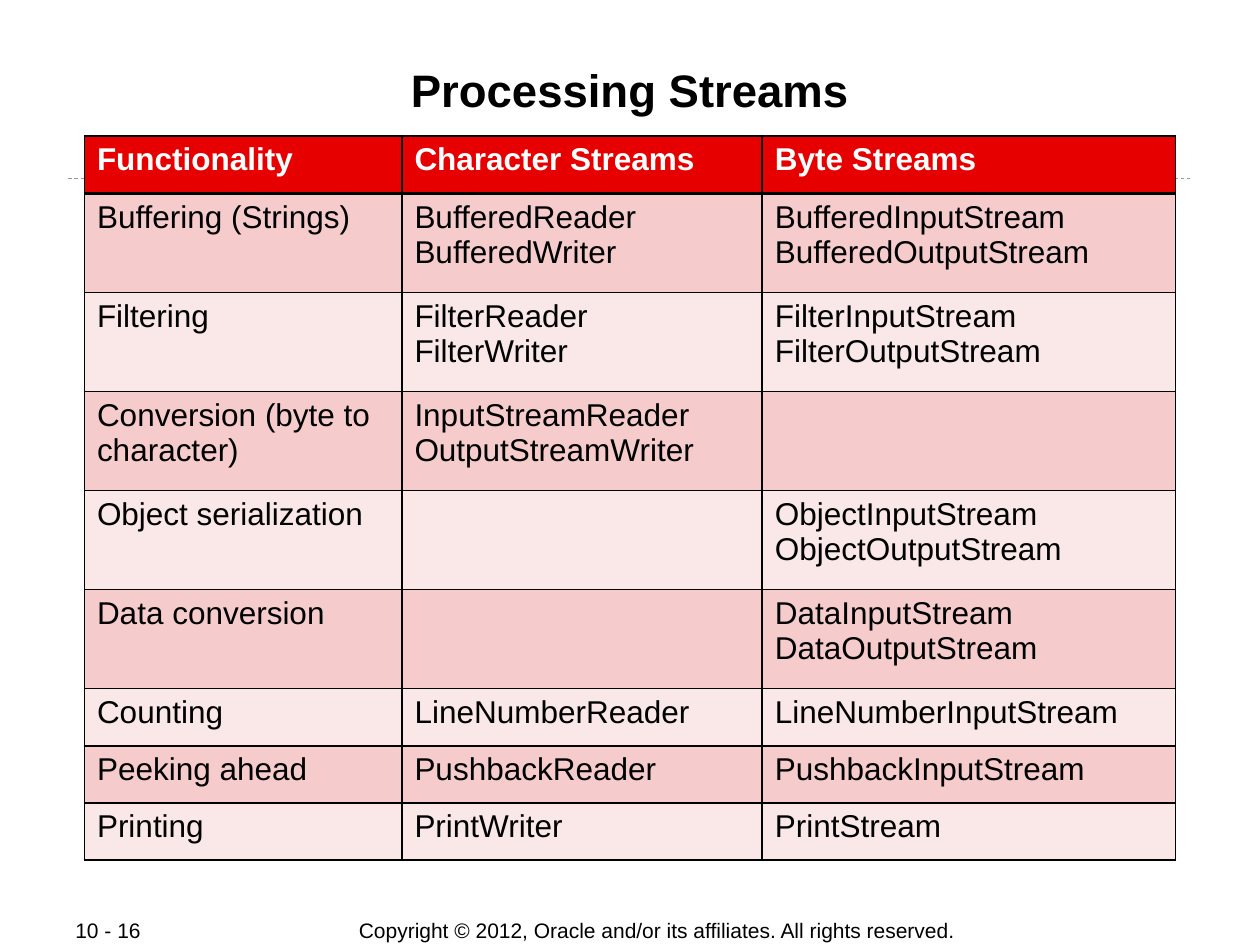
"""Build the Processing Streams slide: a ruled table of Java stream classes."""
from lxml import etree
from pptx import Presentation
from pptx.dml.color import RGBColor
from pptx.enum.dml import MSO_LINE
from pptx.enum.shapes import MSO_CONNECTOR
from pptx.enum.text import MSO_ANCHOR, PP_ALIGN
from pptx.oxml.ns import qn
from pptx.util import Inches, Pt

STRAIGHT = MSO_CONNECTOR.STRAIGHT
DASH = MSO_LINE.DASH
TOP, MIDDLE = MSO_ANCHOR.TOP, MSO_ANCHOR.MIDDLE
LEFT, CENTER, JUSTIFY = PP_ALIGN.LEFT, PP_ALIGN.CENTER, PP_ALIGN.JUSTIFY
COLORS = {
    "text": "000000", "header_text": "FFFFFF", "border": "000000",
    "header": "E70000", "odd": "F6CBCB", "even": "FAE7E7", "rule": "999999",
}
STREAMS = [
    ("Functionality", "Character Streams", "Byte Streams"),
    ("Buffering (Strings)", "BufferedReader\nBufferedWriter", "BufferedInputStream\nBufferedOutputStream"),
    ("Filtering", "FilterReader\nFilterWriter", "FilterInputStream\nFilterOutputStream"),
    ("Conversion (byte to character)", "InputStreamReader\nOutputStreamWriter", ""),
    ("Object serialization", "", "ObjectInputStream\nObjectOutputStream"),
    ("Data conversion", "", "DataInputStream\nDataOutputStream"),
    ("Counting", "LineNumberReader", "LineNumberInputStream"),
    ("Peeking ahead", "PushbackReader", "PushbackInputStream"),
    ("Printing", "PrintWriter", "PrintStream"),
]
COLUMN_WIDTHS = [2.52, 2.86, 3.28]
TABLE_HEIGHT = 5.75
ONE_LINE, TWO_LINES = 11, 19


def write(paragraph, text, size, color="text", bold=False):
    for index, line in enumerate(text.split("\n")):
        if index:
            paragraph.add_line_break()
        run = paragraph.add_run()
        run.text = line
        run.font.name = "Arial"
        run.font.size = Pt(size)
        run.font.bold = bold
        run.font.color.rgb = RGBColor.from_string(COLORS[color])


def add_border(cell, side, width):
    edge = etree.SubElement(cell._tc.get_or_add_tcPr(), qn(f"a:ln{side}"), w=str(Pt(width)))
    fill = etree.SubElement(edge, qn("a:solidFill"))
    etree.SubElement(fill, qn("a:srgbClr"), val=COLORS["border"])


prs = Presentation()
prs.slide_width, prs.slide_height = Inches(10), Inches(7.5)
slide = prs.slides.add_slide(prs.slide_layouts[5])

rule = slide.shapes.add_connector(STRAIGHT, Inches(0.54), Inches(1.42), Inches(9.46), Inches(1.42))
rule.line.color.rgb = RGBColor.from_string(COLORS["rule"])
rule.line.width = Pt(0.5)
rule.line.dash_style = DASH
etree.SubElement(rule._element.spPr, qn("a:effectLst"))

for text, left, width, alignment in [
    ("Copyright © 2012, Oracle and/or its affiliates. All rights reserved.", 2.75, 5, LEFT),
    ("10 - 16", 0.5, 1.06, JUSTIFY),
]:
    footer = slide.shapes.add_textbox(Inches(left), Inches(7.28), Inches(width), Inches(0.21)).text_frame
    footer.word_wrap = True
    footer.vertical_anchor = MIDDLE
    footer.paragraphs[0].alignment = alignment
    write(footer.paragraphs[0], text, 12)

title = slide.shapes.title
title.left, title.top, title.width, title.height = map(Inches, (0.67, 0.48, 8.66, 0.96))
heading = title.text_frame
heading.margin_left = heading.margin_right = heading.margin_top = heading.margin_bottom = Inches(0.01)
heading.vertical_anchor = TOP
heading.paragraphs[0].alignment = CENTER
write(heading.paragraphs[0], "Processing Streams", 26, bold=True)

table = slide.shapes.add_table(
    len(STREAMS), len(COLUMN_WIDTHS), Inches(0.67), Inches(1.08),
    Inches(sum(COLUMN_WIDTHS)), Inches(TABLE_HEIGHT),
).table
for column, width in zip(table.columns, COLUMN_WIDTHS):
    column.width = Inches(width)

row_shares = [TWO_LINES if 1 <= index <= 5 else ONE_LINE for index in range(len(STREAMS))]
for row_index, (entries, share) in enumerate(zip(STREAMS, row_shares)):
    is_header = row_index == 0
    band = "header" if is_header else "odd" if row_index % 2 else "even"
    table.rows[row_index].height = Inches(TABLE_HEIGHT * share / sum(row_shares))
    for column_index, entry in enumerate(entries):
        cell = table.cell(row_index, column_index)
        for side in "LRTB":
            under_header = (row_index, side) in [(0, "B"), (1, "T")]
            add_border(cell, side, 2.21 if under_header else 1.08)
        cell.fill.solid()
        cell.fill.fore_color.rgb = RGBColor.from_string(COLORS[band])
        if entry:
            write(cell.text_frame.paragraphs[0], entry, 18, "header_text" if is_header else "text", is_header)

prs.save("out.pptx")
